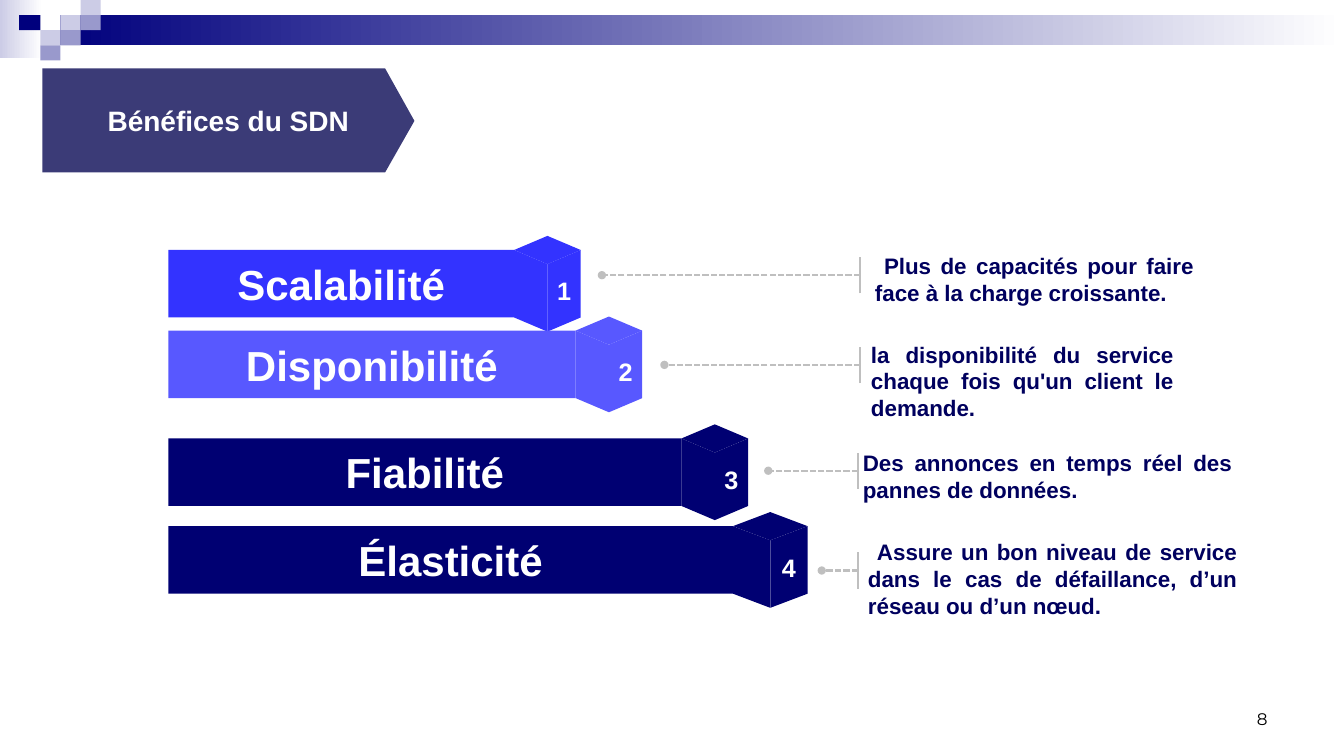
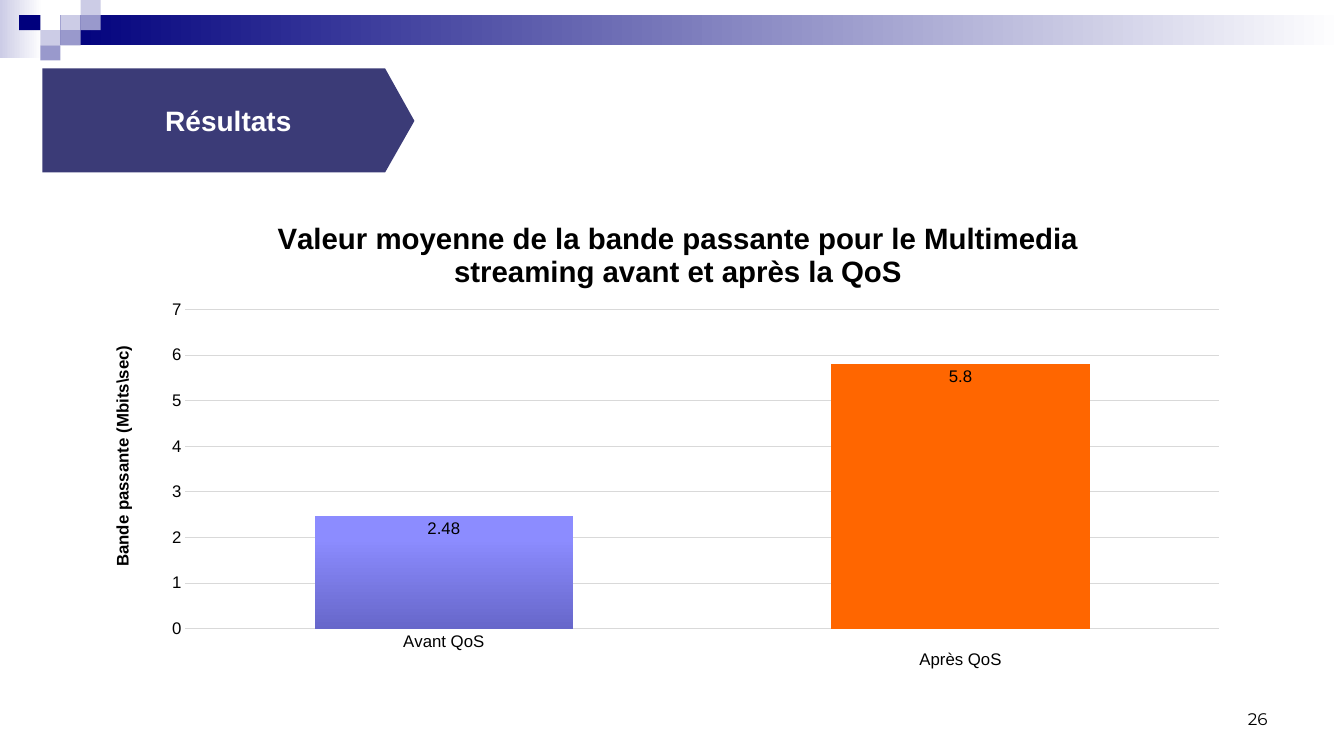
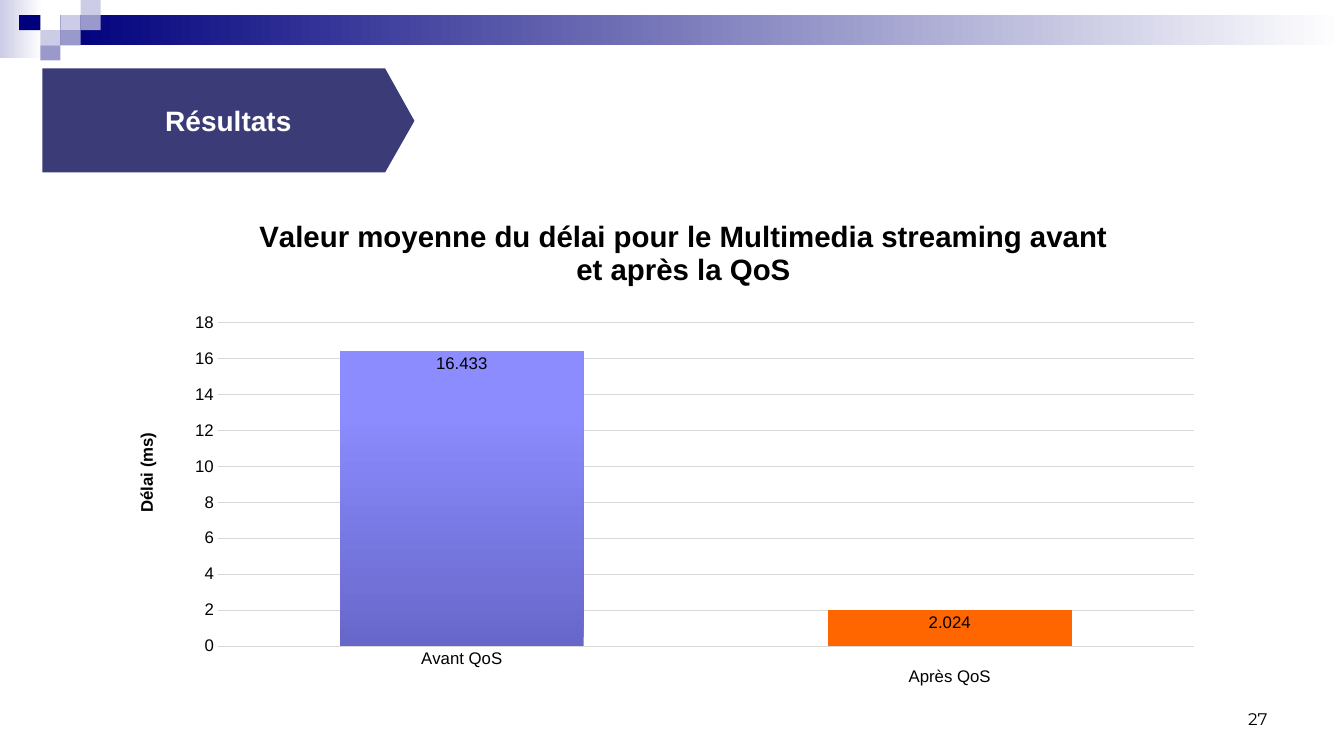
from dataclasses import dataclass
from typing import Any, NamedTuple

from lxml import etree
from pptx import Presentation
from pptx.chart.data import CategoryChartData
from pptx.dml.color import RGBColor
from pptx.enum.chart import XL_CHART_TYPE, XL_LABEL_POSITION, XL_TICK_MARK
from pptx.enum.dml import MSO_LINE
from pptx.enum.shapes import MSO_CONNECTOR, MSO_SHAPE
from pptx.enum.text import MSO_ANCHOR, MSO_AUTO_SIZE, PP_ALIGN
from pptx.oxml.ns import qn
from pptx.oxml.xmlchemy import OxmlElement
from pptx.util import Inches, Pt

COLUMN = XL_CHART_TYPE.COLUMN_CLUSTERED
IN_END = XL_LABEL_POSITION.INSIDE_END
NO_TICK = XL_TICK_MARK.NONE
DASH = MSO_LINE.SQUARE_DOT
STRAIGHT = MSO_CONNECTOR.STRAIGHT
RECT = MSO_SHAPE.RECTANGLE
TOP, MIDDLE, BOTTOM = MSO_ANCHOR.TOP, MSO_ANCHOR.MIDDLE, MSO_ANCHOR.BOTTOM
NO_FIT = MSO_AUTO_SIZE.NONE
CENTER, RIGHT, JUSTIFY = PP_ALIGN.CENTER, PP_ALIGN.RIGHT, PP_ALIGN.JUSTIFY


class Type(NamedTuple):
    """A text style."""

    size: int
    color: str
    bold: bool = True
    face: str = "Arial"


@dataclass(frozen=True)
class Theme:
    """Colours and type styles of the deck."""

    navy: str = "00007D"
    pale: str = "CCCCE6"
    mauve: str = "9999CC"
    white: str = "FFFFFF"
    arrow: str = "3B3B77"
    rule: str = "BFBFBF"
    grid: str = "D9D9D9"
    low: str = "6767CA"
    high: str = "8C8CFF"
    accent: str = "FF6600"
    title: Type = Type(20, "FFFFFF")
    word: Type = Type(30, "FFFFFF")
    digit: Type = Type(18, "FFFFFF")
    note: Type = Type(16, "00005E")
    page: Type = Type(12, "000000", False, "Montserrat")
    head: Type = Type(21, "000000")
    axis: Type = Type(12, "000000")
    label: Type = Type(12, "000000", False)


THEME = Theme()


class Box(NamedTuple):
    """A place on the slide, in inches."""

    left: float
    top: float
    width: float
    height: float

    def emu(self) -> list[int]:
        """Return the four lengths."""
        return [Inches(v) for v in self]


class Tile(NamedTuple):
    """A rectangle of the header band; two colours make a gradient."""

    box: Box
    color: str
    fade: str = ""


class Bar(NamedTuple):
    """A numbered bar with its prism, leader and note."""

    word: str
    color: str
    left: float
    half: float
    top: float
    rule: float
    mid: float
    dot: float
    note: str
    box: Box
    indent: float = 0


class Graph(NamedTuple):
    """A column chart and the places of its parts."""

    page: str
    title: str
    axis: str
    vals: tuple[float, float]
    peak: int
    step: int
    box: Box
    head: tuple[float, float]
    side: tuple[float, float]
    plot: Box


TILES = [
    Tile(Box(0, 0, 0.42, 0.58), THEME.pale, THEME.white),
    Tile(Box(0.6, 0.15, 12.73, 0.3), THEME.navy, THEME.white),
    Tile(Box(0.19, 0.15, 0.21, 0.15), THEME.navy),
    *(Tile(Box(0.2 * col, 0.15 * row, 0.2, 0.15), color)
      for col, row, color in [
          (3, 1, THEME.pale), (4, 0, THEME.pale), (4, 1, THEME.mauve),
          (2, 2, THEME.pale), (3, 2, THEME.mauve), (2, 3, THEME.mauve)]),
]
ARROW = [(0.42, 0.68), (3.82, 0.68), (4.11, 1.2), (3.82, 1.71), (0.42, 1.71)]
TITLE = Box(0.42, 0.68, 3.69, 1.03)
PAGE = Box(9.56, 6.83, 3.11, 0.5)
START, DEPTH, PEAK, TICK = 1.67, 0.67, 0.14, 0.18

BARS = [
    Bar("Scalabilité", "3333FF", 5.1, 0.33, 2.48, 8.53, 2.73, 5.97,
        "Plus de capacités pour faire face à la charge croissante.",
        Box(8.58, 2.4, 3.36, 0.64), 0.09),
    Bar("Disponibilité", "5858FF", 5.71, 0.33, 3.28, 8.53, 3.62, 6.59,
        "la disponibilité du service chaque fois qu'un client le demande.",
        Box(8.54, 3.28, 3.2, 0.91)),
    Bar("Fiabilité", "000072", 6.76, 0.33, 4.35, 8.51, 4.67, 7.62,
        "Des annonces en temps réel des pannes de données.",
        Box(8.46, 4.36, 3.86, 0.64)),
    Bar("Élasticité", "000072", 7.27, 0.37, 5.22, 8.51, 5.66, 8.15,
        "Assure un bon niveau de service dans le cas de défaillance, "
        "d’un réseau ou d’un nœud.",
        Box(8.51, 5.24, 3.86, 0.91), 0.09),
]
GRAPHS = [
    Graph("26", "Valeur moyenne de la bande passante pour le Multimedia "
          "streaming avant et après la QoS", "Bande passante (Mbits\\sec)",
          (2.48, 5.8), 7, 1, Box(1.03, 1.91, 11.28, 4.81),
          (2.7, 2.13), (1.08, 3.4), Box(1.84, 3.07, 10.25, 3.17)),
    Graph("27", "Valeur moyenne du délai pour le Multimedia streaming "
          "avant et après la QoS", "Délai (ms)",
          (16.433, 2.024), 18, 2, Box(1.27, 2.04, 10.8, 4.87),
          (2.52, 2.11), (1.32, 4.26), Box(2.16, 3.2, 9.68, 3.21)),
]


def tune(item: Any, vals: dict[str, Any]) -> None:
    """Set each named attribute."""
    for name, val in vals.items():
        setattr(item, name, val)


def style(font: Any, kind: Type) -> None:
    """Give a font its type style."""
    tune(font, {"name": kind.face, "size": Pt(kind.size), "bold": kind.bold})
    font.color.rgb = RGBColor.from_string(kind.color)


def phrase(frame: Any, text: str, kind: Type) -> None:
    """Put one styled paragraph in a frame."""
    frame.text = text
    style(frame.paragraphs[0].runs[0].font, kind)


def write(shape: Any, text: str, kind: Type, align: Any = CENTER,
          anchor: Any = MIDDLE, inset: float = 0.04) -> None:
    """Fill a shape with aligned text."""
    frame = shape.text_frame
    phrase(frame, text, kind)
    frame.paragraphs[0].alignment = align
    sides = ("left", "right", "top", "bottom")
    tune(frame, {"word_wrap": True, "auto_size": NO_FIT,
                 "vertical_anchor": anchor}
         | {f"margin_{side}": Inches(inset) for side in sides})


def paint(fill: Any, color: str) -> None:
    """Make a fill solid."""
    fill.solid()
    fill.fore_color.rgb = RGBColor.from_string(color)


def blend(fill: Any, first: str, last: str, angle: int, end: float) -> None:
    """Make a fill a gradient of two colours."""
    fill.gradient()
    fill.gradient_angle = angle
    for stop, color, spot in zip(fill.gradient_stops, (first, last), (0, end)):
        stop.color.rgb = RGBColor.from_string(color)
        stop.position = spot


def plain(shape: Any, color: str) -> Any:
    """Strip a shape to a flat fill."""
    shape.shadow.inherit = False
    shape.line.fill.background()
    paint(shape.fill, color)
    return shape


def block(slide: Any, box: Box, color: str) -> Any:
    """Draw a flat rectangle."""
    return plain(slide.shapes.add_shape(RECT, *box.emu()), color)


def outline(slide: Any, dots: list[tuple[float, float]], color: str) -> Any:
    """Draw a flat closed outline."""
    first, *rest = [(Inches(x), Inches(y)) for x, y in dots]
    pen = slide.shapes.build_freeform(*first)
    pen.add_line_segments(rest, close=True)
    return plain(pen.convert_to_shape(), color)


def stroke(line: Any, color: str, width: float) -> None:
    """Give a line its colour and width."""
    paint(line.fill, color)
    line.width = Pt(width)


def link(slide: Any, ends: tuple[float, ...], dotted: bool = False) -> None:
    """Draw a grey line, or a dashed one that ends in a dot."""
    wire = slide.shapes.add_connector(STRAIGHT, *[Inches(v) for v in ends])
    stroke(wire.line, THEME.rule, 1.5)
    if dotted:
        wire.line.dash_style = DASH
        edge = wire.line.fill and wire.element.spPr.find(qn("a:ln"))
        etree.SubElement(edge, qn("a:tailEnd"), type="oval")
    etree.SubElement(wire.element.spPr, qn("a:effectLst"))


def dress(slide: Any, layout: Any) -> None:
    """Draw the band and title arrow, and move them to the layout."""
    parts = []
    for tile in TILES:
        part = block(slide, tile.box, tile.color)
        if tile.fade:
            blend(part.fill, tile.color, tile.fade, 0, 1)
        parts.append(part)
    parts.append(outline(slide, ARROW, THEME.arrow))
    for num, part in enumerate(parts, 100):
        part.element.nvSpPr.cNvPr.set("id", str(num))
        layout.shapes.element.append(part.element)


def label(slide: Any, title: str, page: str) -> None:
    """Write the title and page number."""
    head = slide.shapes.title
    tune(head, dict(zip(Box._fields, TITLE.emu())))
    write(head, title, THEME.title, inset=0.1)
    foot = slide.shapes.add_textbox(*PAGE.emu())
    write(foot, page, THEME.page, RIGHT, BOTTOM, 0.1)


def draw_bar(slide: Any, bar: Bar, num: int) -> None:
    """Draw a bar, its prism, its leader and its note."""
    left, mid, right = (bar.left + bar.half * n for n in range(3))
    top, base = bar.top, bar.top + DEPTH
    body = block(slide, Box(START, top, left - START, DEPTH), bar.color)
    write(body, bar.word, THEME.word)
    for side in (left, right):
        face = outline(slide, [(mid, base + PEAK), (side, base), (side, top),
                               (mid, top + PEAK)], bar.color)
    write(face, str(num), THEME.digit)
    outline(slide, [(mid, top + PEAK), (right, top), (mid, top - PEAK),
                    (left, top)], bar.color)
    link(slide, (bar.rule, bar.mid + TICK, bar.rule, bar.mid - TICK))
    link(slide, (bar.rule, bar.mid, bar.dot, bar.mid), True)
    note = slide.shapes.add_textbox(*bar.box.emu())
    write(note, bar.note, THEME.note, JUSTIFY, TOP, 0.1)
    if bar.indent:
        props = note.text_frame.paragraphs[0]._p.get_or_add_pPr()
        props.set("indent", str(Inches(bar.indent)))


def place(node: Any, frame: Box, spot: tuple[float, ...]) -> None:
    """Fix a chart part at a place on the slide."""
    for old in node.findall(qn("c:layout")):
        node.remove(old)
    layout = OxmlElement("c:layout")
    inner = etree.SubElement(layout, qn("c:manualLayout"))
    vals = {"xMode": "edge", "yMode": "edge",
            "x": (spot[0] - frame.left) / frame.width,
            "y": (spot[1] - frame.top) / frame.height}
    if len(spot) == 4:
        vals = {"layoutTarget": "inner"} | vals | {
            "w": spot[2] / frame.width, "h": spot[3] / frame.height}
    for tag, val in vals.items():
        etree.SubElement(inner, qn(f"c:{tag}"), val=str(val))
    node.insert(0 if node.find(qn("c:tx")) is None else 1, layout)


def draw_graph(slide: Any, graph: Graph) -> None:
    """Draw a column chart."""
    data = CategoryChartData()
    data.categories = ["Avant QoS", "\nAprès QoS"]
    data.add_series("Series 1", graph.vals)
    chart = slide.shapes.add_chart(COLUMN, *graph.box.emu(), data).chart
    chart.has_legend = False
    style(chart.font, THEME.label)
    phrase(chart.chart_title.text_frame, graph.title, THEME.head)

    cats, vals = chart.category_axis, chart.value_axis
    for axis in (cats, vals):
        tune(axis, {"major_tick_mark": NO_TICK, "minor_tick_mark": NO_TICK})
        style(axis.tick_labels.font, THEME.label)
    tune(vals, {"minimum_scale": 0, "maximum_scale": graph.peak,
                "major_unit": graph.step})
    vals.format.line.fill.background()
    for line in (cats.format.line, vals.major_gridlines.format.line):
        stroke(line, THEME.grid, 0.75)
    side = vals.axis_title
    phrase(side.text_frame, graph.axis, THEME.axis)
    turn = side.element.find(".//" + qn("a:bodyPr"))
    for name, val in {"rot": "-5400000", "vert": "horz"}.items():
        turn.set(name, val)

    plot = chart.plots[0]
    tune(plot, {"gap_width": 100, "overlap": -24,
                "vary_by_categories": False, "has_data_labels": True})
    tune(plot.data_labels, {"show_value": True, "position": IN_END})
    style(plot.data_labels.font, THEME.label)
    bars = plot.series[0]
    blend(bars.format.fill, THEME.low, THEME.high, 90, 0.8)
    paint(bars.points[1].format.fill, THEME.accent)

    area = chart.element.find(".//" + qn("c:plotArea"))
    for node, spot in ((chart.chart_title.element, graph.head),
                       (side.element, graph.side), (area, graph.plot)):
        place(node, graph.box, spot)


def main() -> None:
    """Build and save the deck."""
    deck = Presentation()
    tune(deck, {"slide_width": Inches(13.33), "slide_height": Inches(7.5)})
    layout = deck.slide_layouts[5]
    slide = deck.slides.add_slide(layout)
    dress(slide, layout)
    label(slide, "Bénéfices du SDN", "8")
    for num, bar in enumerate(BARS, 1):
        draw_bar(slide, bar, num)
    for graph in GRAPHS:
        slide = deck.slides.add_slide(layout)
        label(slide, "Résultats", graph.page)
        draw_graph(slide, graph)
    deck.save("out.pptx")


if __name__ == "__main__":
    main()
